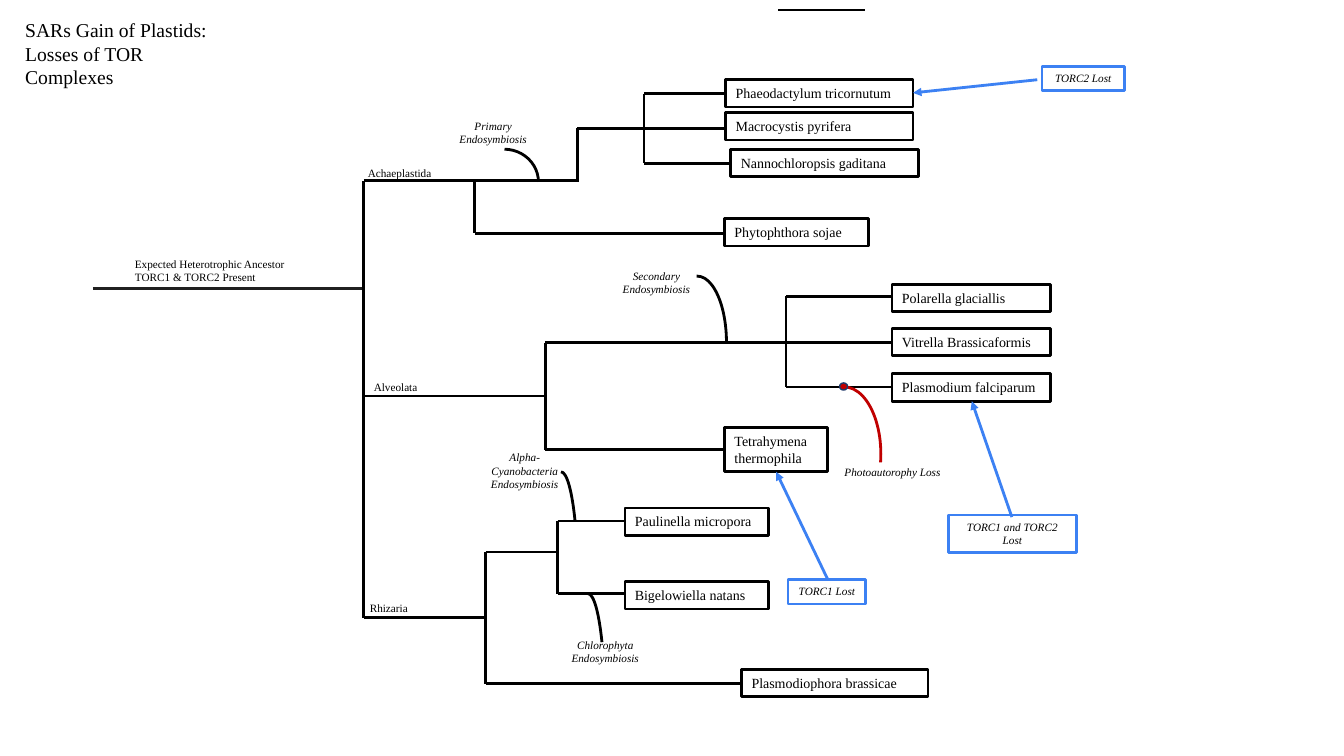
from lxml.etree import SubElement
from pptx import Presentation
from pptx.dml.color import RGBColor
from pptx.enum.shapes import MSO_CONNECTOR, MSO_SHAPE
from pptx.enum.text import MSO_ANCHOR, MSO_AUTO_SIZE, PP_ALIGN
from pptx.oxml.ns import qn
from pptx.util import Cm, Pt

BLACK = RGBColor(0x00, 0x00, 0x00)
CHARCOAL = RGBColor(0x20, 0x20, 0x20)
BLUE = RGBColor(0x3C, 0x81, 0xF3)
RED = RGBColor(0xC0, 0x00, 0x00)
NAVY = RGBColor(0x1D, 0x3A, 0x6B)
FONT = "Times New Roman"

# All lengths are in centimetres.
TITLE = "SARs Gain of Plastids:\nLosses of TOR Complexes"
TITLE_PLACE = (0.38, 0.33, 5.79, 3.58)

# Level lines: left, right, y
ANCESTOR_STEM = (2.34, 9.17, 7.26)
TOP_RULE = (19.61, 21.79, 0.25)

# Forks of the tree: x, y of the parent branch, children as (y, right end)
FORKS = [
    (9.17, 7.26, [(4.55, 14.58), (9.98, 13.77), (15.57, 12.24)]),
    (14.55, 4.55, [(3.23, 16.23)]),
    (11.96, 4.55, [(5.88, 18.26)]),
    (16.23, 3.23, [(2.36, 18.29), (3.23, 18.29), (4.11, 18.42)]),
    (13.74, 9.98, [(8.64, 19.81), (11.33, 18.26)]),
    (19.81, 8.64, [(7.47, 22.48), (8.64, 22.48), (9.75, 22.48)]),
    (12.24, 15.57, [(13.91, 14.05), (17.23, 18.69)]),
    (14.05, 13.91, [(13.13, 15.75), (14.96, 15.75)]),
]

# Text, then left, top, width, height
SPECIES = [
    ("Phaeodactylum tricornutum", 18.29, 2.01, 4.72, 0.69),
    ("Macrocystis pyrifera", 18.29, 2.84, 4.72, 0.69),
    ("Nannochloropsis gaditana", 18.42, 3.76, 4.72, 0.69),
    ("Phytophthora sojae", 18.26, 5.51, 3.63, 0.69),
    ("Polarella glaciallis", 22.48, 7.16, 3.99, 0.69),
    ("Vitrella Brassicaformis", 22.48, 8.28, 3.99, 0.69),
    ("Plasmodium falciparum", 22.48, 9.42, 3.99, 0.69),
    ("Tetrahymena thermophila", 18.26, 10.77, 2.59, 1.12),
    ("Paulinella micropora", 15.75, 12.8, 3.61, 0.69),
    ("Bigelowiella natans", 15.75, 14.66, 3.61, 0.69),
    ("Plasmodiophora brassicae", 18.69, 16.87, 4.7, 0.69),
]
CLADES = [
    ("Expected Heterotrophic Ancestor\nTORC1 & TORC2 Present", 3.15, 6.35, 6.07, 0.94),
    ("Achaeplastida", 9.02, 4.06, 3.63, 0.61),
    ("Alveolata", 9.17, 9.47, 3.63, 0.61),
    ("Rhizaria", 9.07, 15.04, 2.77, 0.61),
]
EVENTS = [
    ("Primary Endosymbiosis", 10.97, 2.87, 2.92, 0.94),
    ("Secondary Endosymbiosis", 15.34, 6.65, 2.41, 0.94),
    ("Alpha-Cyanobacteria Endosymbiosis", 11.84, 11.23, 2.77, 1.27),
    ("Chlorophyta Endosymbiosis", 13.87, 15.95, 2.77, 0.94),
    ("Photoautorophy Loss", 20.5, 11.61, 3.99, 0.61),
]
# Place, start and end adjustment, colour
EVENT_ARCS = [
    ((11.84, 3.76, 1.73, 1.65), (162.43, 0), BLACK),
    ((16.84, 6.96, 1.47, 3.35), (161.63, 0), BLACK),
    ((13.72, 11.89, 0.84, 5.38), (162, 170.1), BLACK),
    ((14.4, 14.96, 0.84, 5.38), (162, 170.1), BLACK),
    ((20.35, 9.75, 1.85, 3.38), (162, 7.76), RED),
]
LOSS_POINT = (21.16, 9.65, 0.2, 0.18)

# Box, then arrow from and to
TOR_LOSSES = [
    (("TORC2 Lost", 26.26, 1.68, 2.08, 0.61), (26.14, 2.01, 23.01, 2.34)),
    (("TORC1 Lost", 19.86, 14.61, 1.96, 0.61), (20.85, 14.58, 19.56, 11.89)),
    (("TORC1 and TORC2 Lost", 23.9, 12.98, 3.23, 0.94), (25.5, 13.03, 24.49, 10.11)),
]


def cm(lengths):
    return [Cm(length) for length in lengths]


def add_line(slide, ends, color=BLACK, arrow=False):
    line = slide.shapes.add_connector(MSO_CONNECTOR.STRAIGHT, *cm(ends))
    line.line.color.rgb = color
    line.line.width = Pt(2)
    properties = line._element.spPr
    if arrow:
        SubElement(properties.find(qn("a:ln")), qn("a:tailEnd"), type="triangle")
    SubElement(properties, qn("a:effectLst"))


def add_level_line(slide, left, right, y, color=BLACK):
    add_line(slide, (left, y, right, y), color)


def add_fork(slide, x, parent_y, children):
    for y, right in children:
        if y != parent_y:
            add_line(slide, (x, parent_y, x, y))
        add_level_line(slide, x, right, y)


def add_outline(slide, kind, place, color, width=2):
    outline = slide.shapes.add_shape(kind, *cm(place))
    outline.shadow.inherit = False
    outline.fill.background()
    outline.line.color.rgb = color
    outline.line.width = Pt(width)
    return outline


def write(frame, text, size, align=PP_ALIGN.LEFT, italic=False):
    frame.text = text
    frame.word_wrap = True
    frame.auto_size = MSO_AUTO_SIZE.NONE
    frame.vertical_anchor = MSO_ANCHOR.TOP
    for paragraph in frame.paragraphs:
        paragraph.alignment = align
        paragraph.line_spacing = 1.0
        for run in paragraph.runs:
            run.font.name = FONT
            run.font.size = Pt(size)
            run.font.italic = italic
            run.font.color.rgb = BLACK


def main():
    deck = Presentation()
    deck.slide_width, deck.slide_height = Cm(33.87), Cm(19.05)
    slide = deck.slides.add_slide(deck.slide_layouts[5])

    title = slide.shapes.title
    title.left, title.top, title.width, title.height = cm(TITLE_PLACE)
    write(title.text_frame, TITLE, 14)

    add_level_line(slide, *ANCESTOR_STEM, CHARCOAL)
    add_level_line(slide, *TOP_RULE)
    for fork in FORKS:
        add_fork(slide, *fork)

    for place, angles, color in EVENT_ARCS:
        arc = add_outline(slide, MSO_SHAPE.ARC, place, color)
        arc.adjustments[0], arc.adjustments[1] = angles
    loss_point = add_outline(slide, MSO_SHAPE.OVAL, LOSS_POINT, NAVY, 1)
    loss_point.fill.solid()
    loss_point.fill.fore_color.rgb = RED

    for name, *place in SPECIES:
        box = add_outline(slide, MSO_SHAPE.RECTANGLE, place, BLACK)
        write(box.text_frame, name, 10)
    for name, *place in CLADES:
        write(slide.shapes.add_textbox(*cm(place)).text_frame, name, 8)
    for event, *place in EVENTS:
        label = slide.shapes.add_textbox(*cm(place))
        write(label.text_frame, event, 8, PP_ALIGN.CENTER, italic=True)
    for (loss, *place), arrow_ends in TOR_LOSSES:
        add_line(slide, arrow_ends, BLUE, arrow=True)
        box = add_outline(slide, MSO_SHAPE.RECTANGLE, place, BLUE)
        write(box.text_frame, loss, 8, PP_ALIGN.CENTER, italic=True)

    deck.save("out.pptx")


if __name__ == "__main__":
    main()
